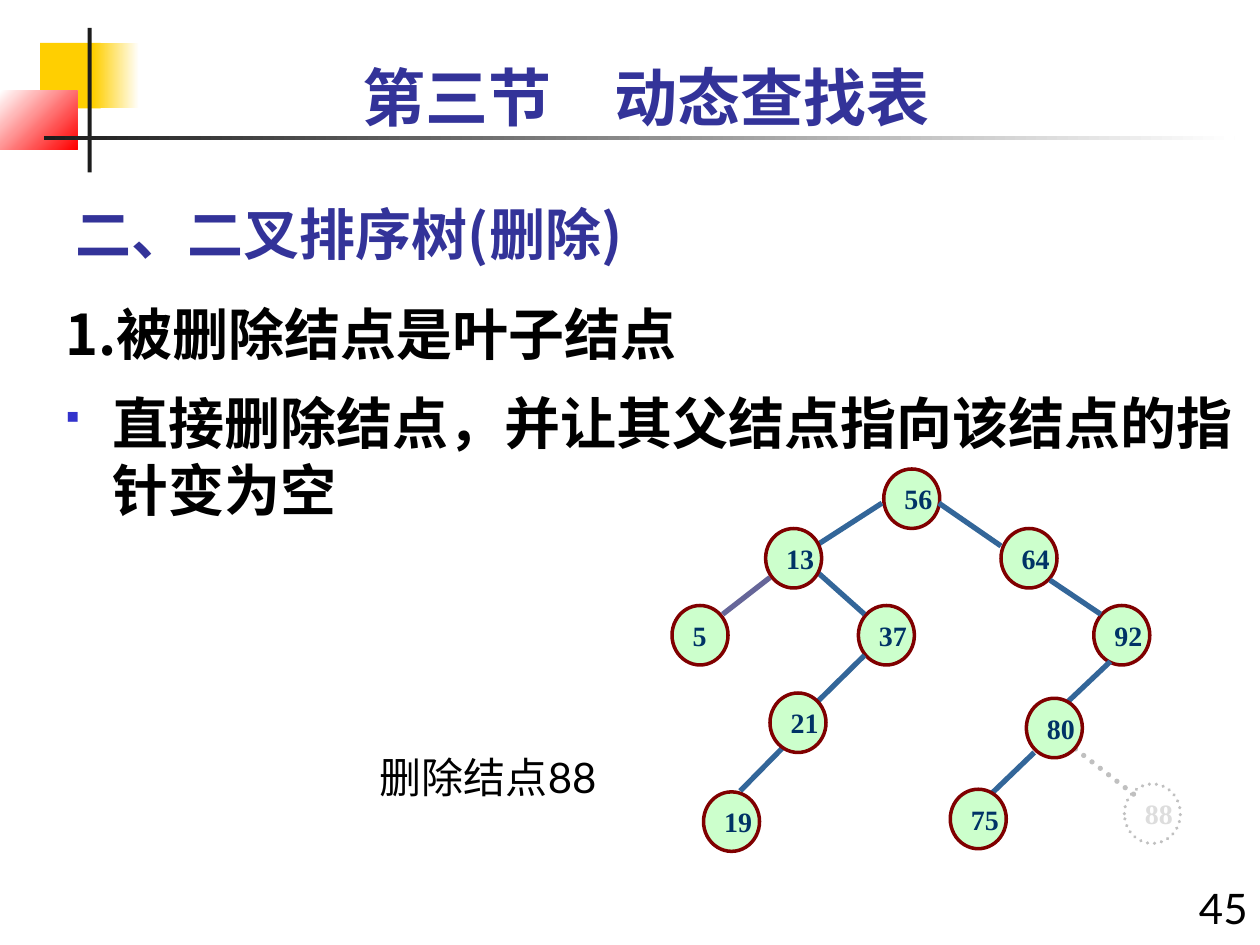
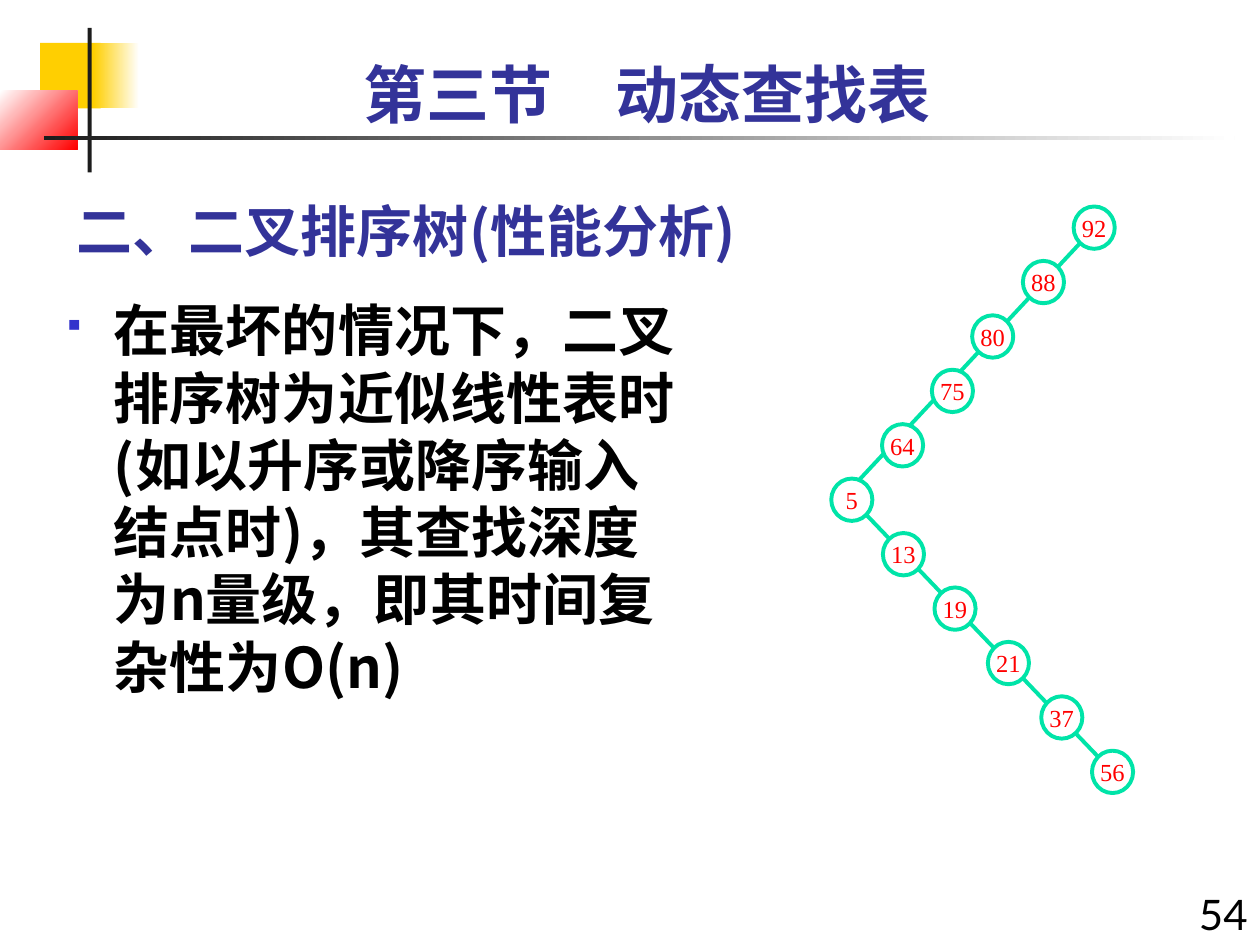
from dataclasses import dataclass
from lxml.etree import SubElement
from pptx import Presentation
from pptx.dml.color import RGBColor as Rgb
from pptx.enum.dml import MSO_LINE_DASH_STYLE as Dash
from pptx.enum.shapes import MSO_CONNECTOR as Link, MSO_SHAPE as Preset
from pptx.enum.text import MSO_ANCHOR as Anchor, PP_ALIGN as Align
from pptx.oxml.ns import qn
from pptx.util import Pt


@dataclass(frozen=True)
class Theme:
    heading: str = "333399"
    text: str = "000000"
    bullet: str = "3333CC"
    white: str = "FFFFFF"
    gold: str = "FFCF01"
    red: str = "FF0000"
    bar: str = "1C1C1C"
    node_fill: str = "CCFFCC"
    node_line: str = "800000"
    node_text: str = "003366"
    edge: str = "336699"
    pale_edge: str = "666699"
    removed: str = "C0C0C0"
    removed_text: str = "DDDDDD"
    chain: str = "00E4A8"
    cjk: str = "Noto Sans CJK SC"
    latin: str = "Lato"
    serif: str = "Times New Roman"
    chapter_size: int = 36
    body_size: int = 32
    label_size: int = 24
    tree_size: int = 16
    chain_size: int = 14


THEME = Theme()
CHAPTER = dict(name=THEME.latin, size=Pt(THEME.chapter_size), bold=True)
BODY = dict(name=THEME.cjk, size=Pt(THEME.body_size), bold=True)
LABEL = dict(name=THEME.latin, size=Pt(THEME.label_size), bold=False)
TREE = dict(name=THEME.serif, size=Pt(THEME.tree_size), bold=True)
CHAIN = dict(name=THEME.serif, size=Pt(THEME.chain_size), bold=False)


def apply_format(target, values):
    for key, value in values.items():
        setattr(target, key, value)


def write_span(para, text, style, color):
    span = para.add_run()
    span.text = text
    apply_format(span.font, style)
    span.font.color.rgb = Rgb.from_string(color)
    SubElement(span.font._element, qn("a:ea"), typeface=THEME.cjk)


def add_text(page, box, text, style, color, align=Align.LEFT, anchor=Anchor.TOP):
    frame = page.shapes.add_textbox(*map(Pt, box)).text_frame
    apply_format(frame, dict(word_wrap=True, vertical_anchor=anchor))
    frame.paragraphs[0].alignment = align
    write_span(frame.paragraphs[0], text, style, color)


def add_filled(page, preset, box, color):
    shape = page.shapes.add_shape(preset, *map(Pt, box))
    shape.shadow.inherit = False
    shape.fill.solid()
    shape.fill.fore_color.rgb = Rgb.from_string(color)
    shape.line.fill.background()
    return shape


def style_line(shape, color, width, dotted=False):
    shape.line.color.rgb = Rgb.from_string(color)
    shape.line.width = Pt(width)
    if dotted:
        shape.line.dash_style = Dash.ROUND_DOT
        shape._element.spPr.find(qn("a:ln")).set("cap", "rnd")


def add_edge(page, origin, start, end, color, width, dotted=False):
    left, top = origin
    ends = (left + start[0], top + start[1], left + end[0], top + end[1])
    edge = page.shapes.add_connector(Link.STRAIGHT, *map(Pt, ends))
    style_line(edge, color, width, dotted)
    SubElement(edge._element.spPr, qn("a:effectLst"))


def add_node(page, box, key, fill, line, width, style, color, align, dotted=False):
    node = add_filled(page, Preset.OVAL, box, fill)
    style_line(node, line, width, dotted)
    frame = node.text_frame
    apply_format(frame, dict(word_wrap=False, vertical_anchor=Anchor.MIDDLE))
    frame.paragraphs[0].alignment = align
    write_span(frame.paragraphs[0], key, style, color)


def add_ornament(page, origin):
    left, top = origin
    parts = [
        ((23, 24.5, 34.5, 37.5), THEME.gold, None, 0),
        ((53.5, 24.5, 26, 37.5), THEME.gold, THEME.white, 0),
        ((0, 52, 44.2, 33.2), THEME.white, THEME.red, 315),
        ((50, 16, 2.4, 82.6), THEME.bar, None, 0),
        ((25.2, 77.8, 680.4, 2.4), THEME.bar, THEME.white, 0),
    ]
    for (x, y, width, height), color, fade, angle in parts:
        block = add_filled(page, Preset.RECTANGLE, (left + x, top + y, width, height), color)
        if fade:
            block.fill.gradient()
            block.fill.gradient_angle = angle
            for stop, tone in zip(block.fill.gradient_stops, (color, fade)):
                stop.color.rgb = Rgb.from_string(tone)


def add_heading(page, origin, section, number, number_top):
    left, top = origin
    add_ornament(page, (0, 0))
    add_text(page, (left, top + 72, 450, 54), section, BODY, THEME.heading, anchor=Anchor.BOTTOM)
    add_text(page, (left, top, 666, 50.4), "第三节\u3000动态查找表".replace("\u3000", "　"),
             CHAPTER, THEME.heading, Align.CENTER)
    add_text(page, (672, number_top, 48, 36), number, LABEL, THEME.text, Align.RIGHT)


def add_bullet(para):
    props = para._p.get_or_add_pPr()
    color = SubElement(props, qn("a:buClr"))
    SubElement(color, qn("a:srgbClr"), val=THEME.bullet)
    SubElement(props, qn("a:buSzPct"), val="60000")
    SubElement(props, qn("a:buFont"), typeface="Wingdings", charset="2")
    SubElement(props, qn("a:buChar"), char="§")


def add_body(page, box, items):
    frame = page.shapes.add_textbox(*map(Pt, box)).text_frame
    frame.word_wrap = True
    for index, (text, bulleted) in enumerate(items):
        para = frame.add_paragraph() if index else frame.paragraphs[0]
        if index:
            para.space_before = Pt(12)
        props = para._p.get_or_add_pPr()
        props.set("marL", str(Pt(27)))
        props.set("indent", str(-Pt(27)))
        if bulleted:
            add_bullet(para)
        write_span(para, text, BODY, THEME.text)


def add_deletion_tree(page, origin):
    left, top = origin
    back_nodes = {"56": (121, 0), "64": (188, 34), "5": (0, 78), "92": (241, 78),
                  "37": (106.5, 78), "88": (258.5, 180)}
    front_nodes = {"19": (18, 184.5), "80": (202.5, 131), "21": (56, 128),
                   "13": (53.5, 34), "75": (159, 183)}
    edges = [
        ((120, 19.5), (82, 44)),
        ((152.5, 19.5), (188, 44)),
        ((82, 58), (110, 83)),
        ((110, 106.5), (75.5, 140.5)),
        ((216, 63.5), (245, 83)),
        ((250.5, 110), (223, 136)),
        ((67.5, 155), (39, 184)),
        ((207, 162), (180, 188)),
    ]

    def draw_nodes(nodes):
        for key, (x, y) in nodes.items():
            gone = key == "88"
            tones = ((THEME.white, THEME.removed, THEME.removed_text) if gone
                     else (THEME.node_fill, THEME.node_line, THEME.node_text))
            fill, line, color = tones
            add_node(page, (left + x, top + y, 32, 34), key, fill, line, 2,
                     TREE, color, Align.LEFT, gone)

    draw_nodes(back_nodes)
    for start, end in edges:
        add_edge(page, origin, start, end, THEME.edge, 3)
    add_edge(page, origin, (56, 62), (29, 83), THEME.pale_edge, 3)
    add_edge(page, origin, (230.5, 160), (264, 186), THEME.removed, 3, True)
    draw_nodes(front_nodes)


def add_worst_case_chain(page, origin):
    left, top = origin
    nodes = {"92": 138.5, "88": 109.5, "80": 80.5, "75": 57.5, "64": 29, "5": 0,
             "13": 29.5, "19": 59, "21": 89.5, "37": 120, "56": 149}
    add_edge(page, origin, (144, 19), (5, 168), THEME.chain, 2.25)
    add_edge(page, origin, (17.5, 173.5), (154, 316), THEME.chain, 2.25)
    for row, (key, x) in enumerate(nodes.items()):
        add_node(page, (left + x, top + 31.1 * row, 23.5, 24.2), key, THEME.white,
                 THEME.chain, 2.25, CHAIN, THEME.red, Align.CENTER)


def build_deletion_page(page):
    add_heading(page, (36, 30.2), "二、二叉排序树(删除)", "45", 501)
    add_body(page, (30.2, 167.8, 689.8, 318), [
        ("1.被删除结点是叶子结点", False),
        ("直接删除结点，并让其父结点指向该结点的指针变为空", True),
    ])
    add_deletion_tree(page, (384, 268))
    add_text(page, (210, 426, 150, 36), "删除结点88", LABEL, THEME.text)


def build_analysis_page(page):
    add_heading(page, (36.7, 28.1), "二、二叉排序树(性能分析)", "54", 504)
    add_body(page, (31, 165.6, 372, 318), [
        ("在最坏的情况下，二叉排序树为近似线性表时(如以升序或降序输入结点时)，"
         "其查找深度为n量级，即其时间复杂性为O(n)", True),
    ])
    add_worst_case_chain(page, (475, 118))


def main():
    deck = Presentation()
    apply_format(deck, dict(slide_width=Pt(720), slide_height=Pt(540)))
    for build in (build_deletion_page, build_analysis_page):
        build(deck.slides.add_slide(deck.slide_layouts[6]))
    deck.save("out.pptx")


if __name__ == "__main__":
    main()
